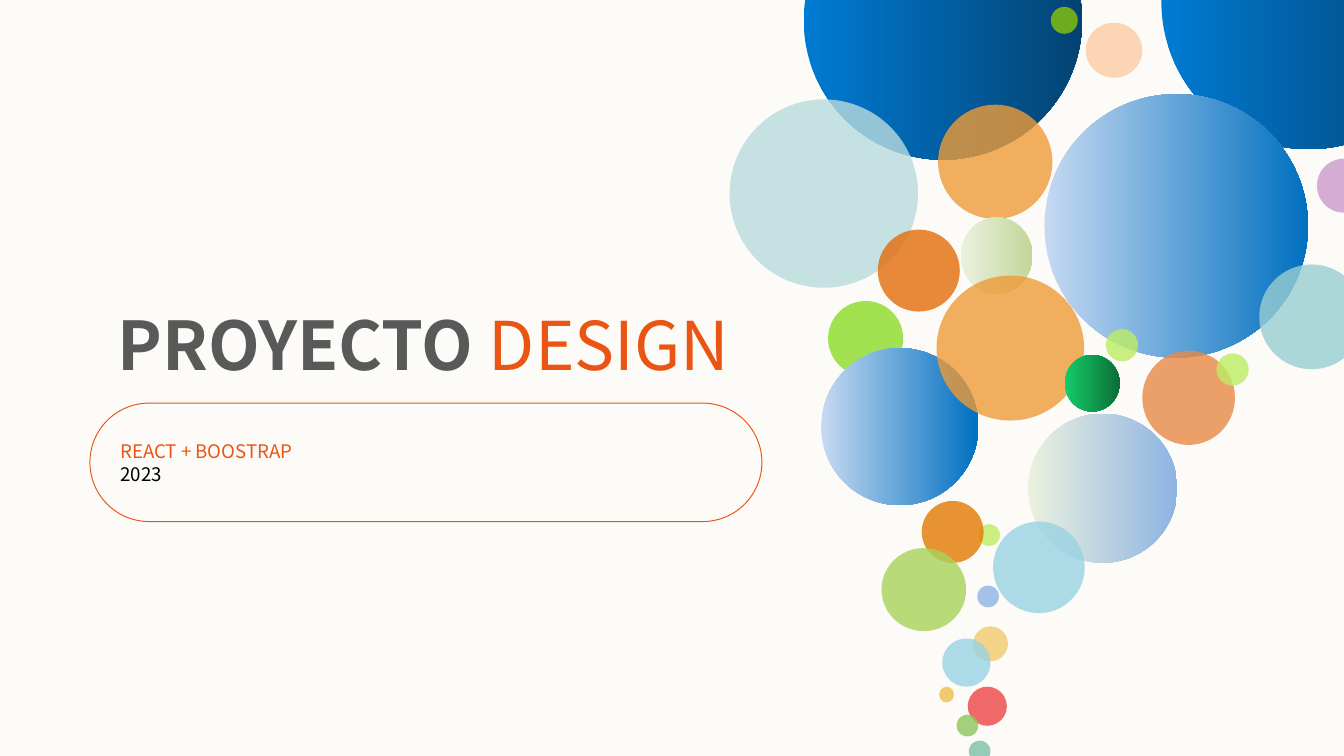
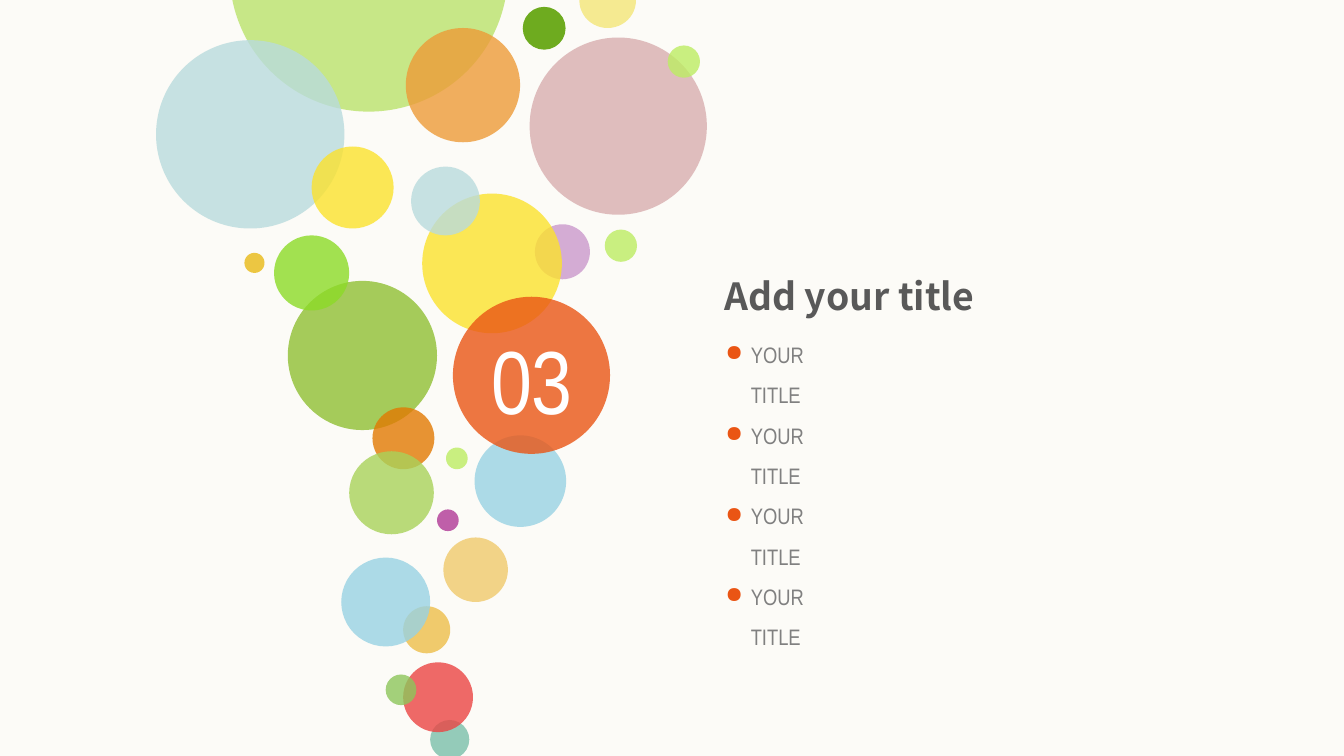
from lxml.etree import SubElement
from pptx import Presentation
from pptx.dml.color import RGBColor
from pptx.enum.shapes import MSO_SHAPE
from pptx.enum.text import MSO_ANCHOR, MSO_AUTO_SIZE, PP_ALIGN
from pptx.oxml.ns import qn
from pptx.util import Cm, Pt

COLORS = {
    "paper": "FCFBF7", "white": "FFFFFF", "black": "000000",
    "dark": "595959", "gray": "808080", "accent": "EA5514",
    "forest": "6EAB1F", "peach": "FCD5B5", "cream": "F5EA91",
    "leaf": "A5CB5A", "amber": "F0CA6C", "sand": "F0CA6C",
    "mist": "B9DBDD", "orange": "ED9B38", "aqua": "99CED2",
    "lilac": "CB99CC", "salmon": "E78A47", "lime": "BDED63",
    "pumpkin": "E46C0A", "grass": "8CDB27", "periwinkle": "8EB4E3",
    "teal": "7BBFAA", "red": "EB4544", "moss": "8DC65B",
    "sky": "98D2E3", "rust": "E27902", "olive": "A9D25A",
    "pear": "BAE36B", "rose": "D8AEAF", "yellow": "FBE22D",
    "gold": "E9B915", "purple": "B03896",
    "navy_start": "007BD3", "navy_end": "034373",
    "blue_start": "C6D9F1", "blue_end": "0070C0",
    "pale_start": "EBF1DE", "sage_end": "C3D69B",
    "emerald_start": "14CD68", "emerald_end": "0B6E38",
}
GRADIENTS = {
    "navy": ("navy_start", "navy_end"),
    "blue": ("blue_start", "blue_end"),
    "haze": ("pale_start", "periwinkle"),
    "sage": ("pale_start", "sage_end"),
    "emerald": ("emerald_start", "emerald_end"),
}
OPAQUE = {"forest", "peach", "cream", "leaf", "amber"}
BUBBLE_OPACITY = 80
SANS = "Noto Sans CJK SC"
NARROW = "Arial Narrow"

# Fill, left, top, width and, where it differs, height in cm; back to front.
COVER_BUBBLES = [
    ("navy", 15.19, -2.24, 5.26),
    ("forest", 19.86, 0.13, 0.51),
    ("mist", 13.79, 1.88, 3.56),
    ("orange", 17.73, 1.98, 2.16),
    ("peach", 20.52, 0.43, 1.07, 1.04),
    ("navy", 21.95, -2.74, 5.56),
    ("blue", 19.74, 1.78, 4.98),
    ("aqua", 23.8, 5, 1.98),
    ("lilac", 24.89, 3, 1.02),
    ("salmon", 21.59, 6.63, 1.75, 1.78),
    ("haze", 19.43, 7.82, 2.82),
    ("lime", 22.99, 6.68, 0.61),
    ("lime", 20.9, 6.22, 0.61),
    ("pumpkin", 16.59, 4.34, 1.55),
    ("grass", 15.65, 5.69, 1.42),
    ("lime", 18.49, 9.91, 0.41),
    ("periwinkle", 18.47, 11.07, 0.41),
    ("sand", 18.39, 11.84, 0.66),
    ("amber", 17.75, 12.98, 0.28, 0.3),
    ("teal", 18.31, 14, 0.41),
    ("red", 18.29, 12.98, 0.74),
    ("moss", 18.08, 13.51, 0.41),
    ("sky", 17.81, 12.07, 0.91),
    ("sky", 18.77, 9.86, 1.73),
    ("rust", 17.42, 9.47, 1.17),
    ("olive", 16.66, 10.36, 1.6, 1.57),
    ("blue", 15.52, 6.58, 2.97),
    ("sage", 18.16, 4.11, 1.35, 1.45),
    ("orange", 17.7, 5.21, 2.79, 2.74),
    ("emerald", 20.12, 6.71, 1.04, 1.07),
]
SECTION_BUBBLES = [
    ("pear", 4.34, -3.15, 5.26),
    ("forest", 9.88, 0.13, 0.81),
    ("mist", 2.95, 0.76, 3.56),
    ("orange", 7.67, 0.53, 2.16),
    ("cream", 10.95, -0.51, 1.07, 1.04),
    ("rose", 10.01, 0.71, 3.35),
    ("leaf", 5.44, 5.31, 2.82),
    ("lime", 12.62, 0.86, 0.61),
    ("lime", 11.43, 4.34, 0.61),
    ("lilac", 10.11, 4.24, 1.04),
    ("yellow", 7.98, 3.66, 2.64),
    ("yellow", 5.89, 2.77, 1.55),
    ("grass", 5.18, 4.45, 1.42),
    ("gold", 4.62, 4.78, 0.38),
    ("lime", 8.43, 8.46, 0.41),
    ("purple", 8.26, 9.63, 0.41),
    ("sand", 8.38, 10.16, 1.22),
    ("amber", 7.62, 11.46, 0.89),
    ("teal", 8.13, 13.61, 0.74),
    ("red", 7.62, 12.52, 1.32),
    ("moss", 7.29, 12.75, 0.58),
    ("sky", 6.45, 10.54, 1.68),
    ("mist", 7.77, 3.15, 1.3),
    ("sky", 8.97, 8.23, 1.73),
    ("rust", 7.04, 7.7, 1.17),
    ("olive", 6.6, 8.53, 1.6, 1.57),
    ("accent", 8.56, 5.61, 2.97),
]


def rgb(color):
    return RGBColor.from_string(COLORS[color])


class BubbleDeck:
    """Holds the presentation, its style and the slide being filled."""

    def __init__(self):
        self.prs = Presentation()
        self.prs.slide_width = Cm(25.4)
        self.prs.slide_height = Cm(14.29)
        self.slide = None

    def new_slide(self):
        self.slide = self.prs.slides.add_slide(self.prs.slide_layouts[6])
        self.slide.background.fill.solid()
        self.slide.background.fill.fore_color.rgb = rgb("paper")

    def bubble(self, shapes, fill, left, top, width, height=None):
        circle = shapes.add_shape(MSO_SHAPE.OVAL, Cm(left), Cm(top),
                                  Cm(width), Cm(height or width))
        circle.shadow.inherit = False
        circle.line.fill.background()
        if fill in GRADIENTS:
            circle.fill.gradient()
            circle.fill.gradient_angle = 0
            for stop, color in zip(circle.fill.gradient_stops, GRADIENTS[fill]):
                stop.color.rgb = rgb(color)
            return
        circle.fill.solid()
        circle.fill.fore_color.rgb = rgb(fill)
        if fill not in OPAQUE:
            srgb = circle._element.spPr.find(qn("a:solidFill"))[0]
            SubElement(srgb, qn("a:alpha"), val=str(BUBBLE_OPACITY * 1000))

    def bubbles(self, rows, grouped=False):
        shapes = self.slide.shapes
        if grouped:
            shapes = shapes.add_group_shape().shapes
        for row in rows:
            self.bubble(shapes, *row)

    def set_lines(self, frame, lines, size, font=SANS, align=None):
        """Fill a frame; each line is a list of (text, color, bold) runs."""
        frame.word_wrap = True
        for number, line in enumerate(lines):
            paragraph = frame.add_paragraph() if number else frame.paragraphs[0]
            paragraph.alignment = align
            for words, color, bold in line:
                run = paragraph.add_run()
                run.text = words
                run.font.name = font
                run.font.size = Pt(size)
                run.font.bold = bold
                run.font.color.rgb = rgb(color)
                SubElement(run.font._element, qn("a:ea"), typeface=font)

    def text(self, box, lines, size, inset=True, **style):
        frame = self.slide.shapes.add_textbox(*map(Cm, box)).text_frame
        frame.auto_size = MSO_AUTO_SIZE.SHAPE_TO_FIT_TEXT
        if not inset:
            frame.margin_left = frame.margin_right = 0
            frame.margin_top = frame.margin_bottom = 0
        self.set_lines(frame, lines, size, **style)
        return frame

    def pill(self, box, lines, size):
        outline = self.slide.shapes.add_shape(MSO_SHAPE.ROUNDED_RECTANGLE,
                                              *map(Cm, box))
        outline.adjustments[0] = 0.5
        outline.shadow.inherit = False
        outline.fill.background()
        outline.line.color.rgb = rgb("accent")
        outline.line.width = Pt(0.5)
        outline.text_frame.vertical_anchor = MSO_ANCHOR.MIDDLE
        self.set_lines(outline.text_frame, lines, size, align=PP_ALIGN.JUSTIFY)

    def bullets(self, box, items, size):
        lines = [[(item, "gray", False)] for item in items]
        indent = Cm(0.48)
        for paragraph in self.text(box, lines, size, font=NARROW).paragraphs:
            paragraph.line_spacing = 1.5
            props = paragraph._p.get_or_add_pPr()
            props.set("marL", str(indent))
            props.set("indent", str(-indent))
            tint = SubElement(props, qn("a:buClr"))
            SubElement(tint, qn("a:srgbClr"), val=COLORS["accent"])
            SubElement(props, qn("a:buChar"), char="●")


def build_cover(deck):
    deck.new_slide()
    deck.text((1.4, 5.61, 13.21, 1.8),
              [[("PROYECTO ", "dark", True), ("DESIGN", "accent", False)]],
              36, align=PP_ALIGN.CENTER)
    deck.pill((1.7, 7.62, 12.7, 2.24),
              [[("REACT + BOOSTRAP", "accent", False)],
               [("2023", "black", False)]], 10)
    deck.bubbles(COVER_BUBBLES, grouped=True)


def build_section(deck):
    deck.new_slide()
    deck.bubbles(SECTION_BUBBLES)
    deck.text((9.04, 6.15, 2.03, 2.06), [[("03", "white", False)]], 48,
              inset=False, font=NARROW, align=PP_ALIGN.CENTER)
    deck.text((13.69, 5.16, 7.72, 0.86), [[("Add your title", "dark", True)]],
              20, inset=False)
    deck.bullets((13.46, 6.07, 2.79, 3.33), ["YOUR TITLE"] * 4, 12)


def main():
    deck = BubbleDeck()
    build_cover(deck)
    build_section(deck)
    deck.prs.save("out.pptx")


if __name__ == "__main__":
    main()
